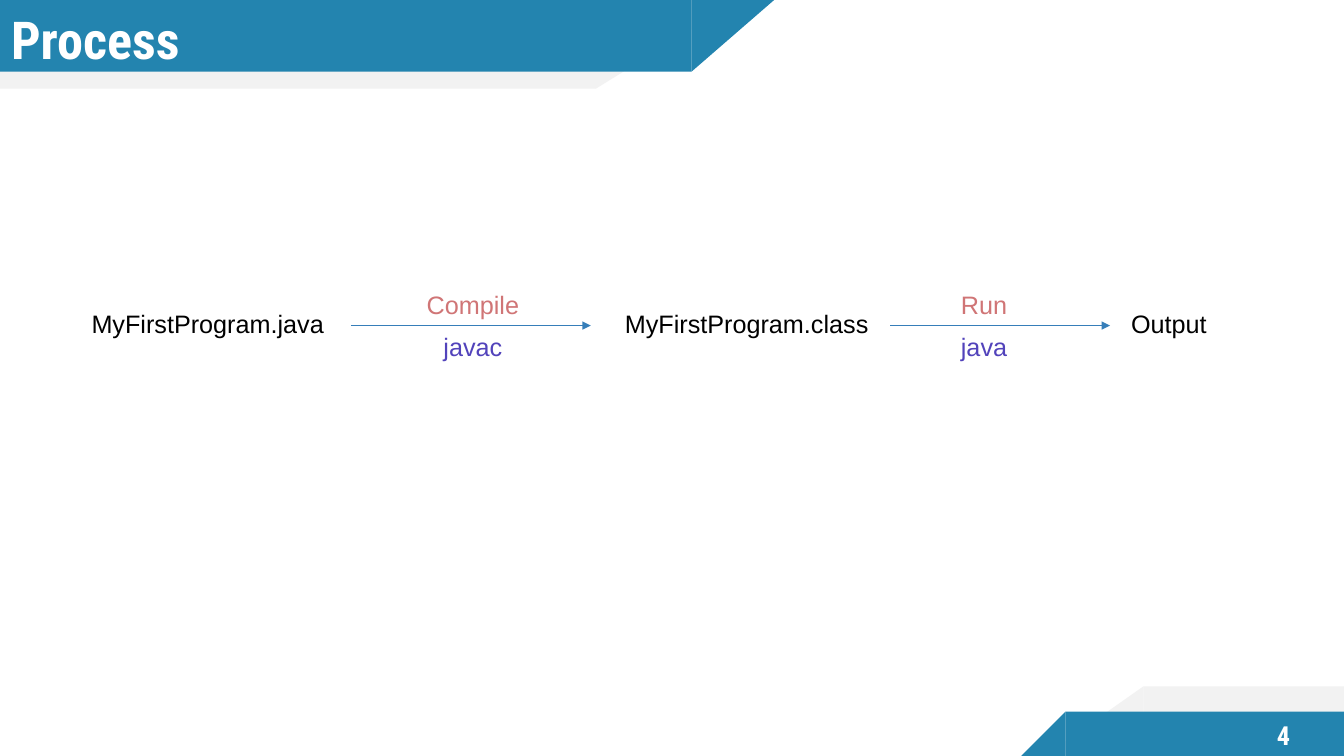
from collections import namedtuple

from lxml import etree
from pptx import Presentation
from pptx.dml.color import RGBColor
from pptx.enum import shapes, text
from pptx.oxml.ns import qn
from pptx.util import Inches, Pt

# Grid: 133.3 columns by 75 rows, each cell a tenth of an inch
COLUMNS, ROWS = 133.3, 75
BLUE, GREY, WHITE, BLACK = "2384AF", "F2F2F2", "FFFFFF", "000000"
ARROW_BLUE, ACTION_RED, COMMAND_VIOLET = "367EB9", "D07576", "5243BB"
HEADING_FONT, BODY_FONT = "Roboto Condensed", "Arial"
LABEL_HEIGHT = 4
LEFT, CENTER = text.PP_ALIGN.LEFT, text.PP_ALIGN.CENTER

Box = namedtuple("Box", "left top width height")


def cells(count):
    return Inches(count / 10)


def color(hex_string):
    return RGBColor.from_string(hex_string)


def add_text(slide, box, content, size, hex_string, font=BODY_FONT,
             bold=False, align=LEFT, inset=1):
    shape = slide.shapes.add_textbox(*map(cells, box))
    frame = shape.text_frame
    frame.word_wrap = True
    frame.vertical_anchor = text.MSO_ANCHOR.MIDDLE
    frame.margin_left = frame.margin_right = cells(inset)
    frame.margin_top = frame.margin_bottom = 0
    frame.text = content
    paragraph = frame.paragraphs[0]
    paragraph.alignment = align
    run_font = paragraph.runs[0].font
    run_font.name, run_font.size, run_font.bold = font, Pt(size), bold
    run_font.color.rgb = color(hex_string)


def add_band(slide, box, slant, hex_string, on_left=False):
    """A bar ending in a right triangle: hanging at the right, or standing at the left."""
    left, top, width, height = box
    bar_left = left + slant if on_left else left
    triangle_left = left if on_left else left + width - slant
    for kind, part_left, part_width in (
            (shapes.MSO_SHAPE.RECTANGLE, bar_left, width - slant),
            (shapes.MSO_SHAPE.RIGHT_TRIANGLE, triangle_left, slant)):
        shape = slide.shapes.add_shape(
            kind, cells(part_left), cells(top), cells(part_width), cells(height))
        shape._element.spPr.xfrm.set("flipH", "1")
        shape.rotation = 0 if on_left else 180
        shape.shadow.inherit = False
        shape.fill.solid()
        shape.fill.fore_color.rgb = color(hex_string)
        shape.line.fill.background()


def add_arrow(slide, start, end, y):
    arrow = slide.shapes.add_connector(
        shapes.MSO_CONNECTOR.STRAIGHT, cells(start), cells(y), cells(end), cells(y))
    arrow.line.color.rgb = color(ARROW_BLUE)
    arrow.line.width = Pt(0.75)
    etree.SubElement(arrow.line._get_or_add_ln(), qn("a:tailEnd"), type="triangle")
    etree.SubElement(arrow._element.spPr, qn("a:effectLst"))


def add_header(slide, box, title):
    left, top, width, height = box
    add_band(slide, Box(left, top, width - 3.4, height + 1.7), 14.4, GREY)
    add_band(slide, box, 8.3, BLUE)
    add_text(slide, Box(left, top, width - 4, height + 0.6), title, 37.3, WHITE,
             HEADING_FONT, bold=True, inset=1.1)


def add_footer(slide, box, number):
    left, top, width, height = box
    add_band(slide, Box(left + 2.3, top - 2.5, width - 2.3, height + 2.5),
             9.8, GREY, on_left=True)
    add_band(slide, box, 4.4, BLUE, on_left=True)
    add_text(slide, Box(left + width - 10.4, top + 0.1, 8.8, height), number,
             18.7, WHITE, HEADING_FONT, bold=True, align=CENTER)


def add_flow(slide, box, stages, steps):
    middle = box.top + box.height / 2
    # Files and result
    for name, offset, width in stages:
        add_text(slide, Box(box.left + offset, middle - 0.2 - LABEL_HEIGHT / 2,
                            width, LABEL_HEIGHT), name, 18, BLACK)
    # Arrows, with the action above and the command below
    for action, command, start, end, center in steps:
        add_arrow(slide, box.left + start, box.left + end, middle)
        label_left, label_width = box.left + center - 7, 14
        for label, top, hex_string in (
                (action, box.top, ACTION_RED),
                (command, box.top + box.height - LABEL_HEIGHT, COMMAND_VIOLET)):
            add_text(slide, Box(label_left, top, label_width, LABEL_HEIGHT),
                     label, 18, hex_string, align=CENTER)


presentation = Presentation()
presentation.slide_width, presentation.slide_height = cells(COLUMNS), cells(ROWS)
process_slide = presentation.slides.add_slide(presentation.slide_layouts[6])

add_header(process_slide, Box(0, -0.1, 76.9, 7.2), "Process")
add_footer(process_slide, Box(101.3, ROWS - 4.4, COLUMNS - 101.3, 4.4), "4")
add_flow(
    process_slide, Box(8.1, 28.2, 118.3, 8.2),
    stages=[("MyFirstProgram.java", 0, 26),
            ("MyFirstProgram.class", 52.9, 27),
            ("Output", 103.1, 15.2)],
    steps=[("Compile", "javac", 26.7, 50.5, 38.8),
           ("Run", "java", 80.2, 102, 89.5)])

presentation.save("out.pptx")
